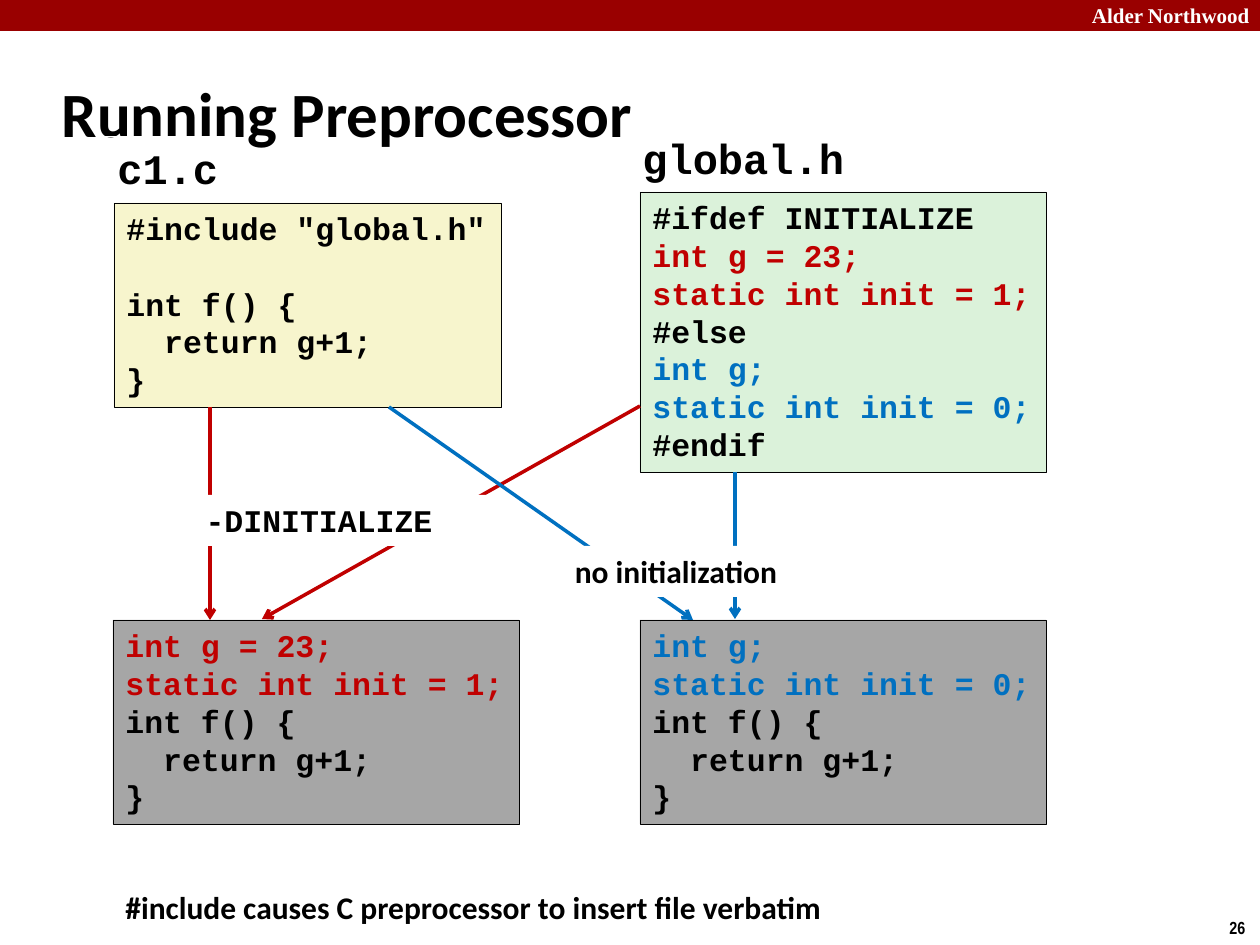
"""Build the slide showing how the C preprocessor expands an include file."""
from dataclasses import dataclass

from lxml.etree import SubElement
from pptx import Presentation
from pptx.dml.color import RGBColor
from pptx.enum.shapes import MSO_CONNECTOR, MSO_SHAPE
from pptx.enum.text import MSO_ANCHOR, MSO_AUTO_SIZE, PP_ALIGN
from pptx.oxml.ns import qn
from pptx.util import Emu, Pt

COLORS = {
    "black": "000000", "white": "FFFFFF", "banner": "990000",
    "red": "C00000", "blue": "0070C0",
    "source": "F7F5CD", "header": "DBF2DA", "result": "A6A6A6",
}
CODE_FONT = "Courier New"
BODY_FONT = "Calibri"
CODE_LINE = Pt(21.5)


@dataclass(frozen=True)
class Line:
    text: str
    color: str = "black"
    depth: int = 0
    skip: int = 0


@dataclass(frozen=True)
class Panel:
    left: int
    top: int
    width: int
    height: int
    lines: tuple[Line, ...]
    fill: str | None = None
    border: str | None = None
    font: str = CODE_FONT
    size: int = 18
    wrap: bool = False
    align: PP_ALIGN = PP_ALIGN.LEFT


@dataclass(frozen=True)
class Arrow:
    start: tuple[int, int]
    end: tuple[int, int]
    color: str


FUNCTION = (Line("int f() {"), Line("return g+1;", depth=1), Line("}"))
INITIALIZED = (Line("int g = 23;", "red"), Line("static int init = 1;", "red"))
UNINITIALIZED = (Line("int g;", "blue"), Line("static int init = 0;", "blue"))
C1_SOURCE = (
    Line('#include "global.h"'), Line("int f() {", skip=1), *FUNCTION[1:],
)
GLOBAL_HEADER = (
    Line("#ifdef INITIALIZE"), *INITIALIZED,
    Line("#else"), *UNINITIALIZED, Line("#endif"),
)

BANNER = (
    Panel(0, 0, 1260, 31, (), "banner"),
    Panel(1042, -4, 220, 38, (Line("Alder Northwood", "white"),),
          font="Times New Roman", size=12, wrap=True, align=PP_ALIGN.RIGHT),
    Panel(1217, 911, 43, 34, (Line("26"),), font="Arial Narrow", size=10),
)
FILES = (
    Panel(114, 203, 387, 204, C1_SOURCE, "source", "black"),
    Panel(105, 136, 127, 63, (Line("c1.c"),), border="white", size=24),
    Panel(630, 126, 228, 63, (Line("global.h"),), border="white", size=24),
    Panel(640, 192, 406, 280, GLOBAL_HEADER, "header", "black"),
    Panel(113, 620, 406, 204, INITIALIZED + FUNCTION, "result", "black"),
    Panel(640, 620, 406, 204, UNINITIALIZED + FUNCTION, "result", "black"),
)
FLOWS = (
    Arrow((210, 407), (210, 620), "red"),
    Arrow((640, 406), (262, 619), "red"),
    Arrow((389, 407), (693, 620), "blue"),
    Arrow((735, 472), (735, 619), "blue"),
)
CAPTIONS = (
    Panel(145, 495, 348, 51, (Line("-DINITIALIZE"),), "white",
          wrap=True, align=PP_ALIGN.CENTER),
    Panel(502, 546, 348, 51, (Line("no initialization"),), "white",
          font=BODY_FONT, wrap=True, align=PP_ALIGN.CENTER),
    Panel(113, 882, 727, 51,
          (Line("#include causes C preprocessor to insert file verbatim"),),
          font=BODY_FONT),
)


def px(length: int) -> Emu:
    return Emu(round(length * 914400 / 126))


def rgb(name: str) -> RGBColor:
    return RGBColor.from_string(COLORS[name])


def add_run(paragraph, text: str, font: str, size: int, color: str) -> None:
    run = paragraph.add_run()
    run.text = text
    run.font.name = font
    run.font.size = Pt(size)
    run.font.bold = True
    run.font.color.rgb = rgb(color)


def add_title(slide, text: str) -> None:
    title = slide.shapes.title
    title.left, title.top, title.width, title.height = map(px, (49, 60, 1046, 105))
    frame = title.text_frame
    frame.auto_size = MSO_AUTO_SIZE.NONE
    frame.vertical_anchor = MSO_ANCHOR.MIDDLE
    frame.paragraphs[0].alignment = PP_ALIGN.LEFT
    add_run(frame.paragraphs[0], text, BODY_FONT, 36, "black")


def write_lines(frame, panel: Panel) -> None:
    frame.word_wrap = panel.wrap
    frame.auto_size = MSO_AUTO_SIZE.SHAPE_TO_FIT_TEXT
    frame.vertical_anchor = MSO_ANCHOR.TOP
    for number, line in enumerate(panel.lines):
        paragraph = frame.add_paragraph() if number else frame.paragraphs[0]
        paragraph.alignment = panel.align
        if line.skip:
            paragraph.space_before = Emu(line.skip * CODE_LINE)
        if line.depth:
            properties = paragraph._p.get_or_add_pPr()
            properties.set("marL", str(line.depth * Pt(21.6)))
        add_run(paragraph, line.text, panel.font, panel.size, line.color)


def add_panel(slide, panel: Panel) -> None:
    bounds = map(px, (panel.left, panel.top, panel.width, panel.height))
    if panel.fill or panel.border:
        box = slide.shapes.add_shape(MSO_SHAPE.RECTANGLE, *bounds)
        box.shadow.inherit = False
    else:
        box = slide.shapes.add_textbox(*bounds)
    if panel.fill:
        box.fill.solid()
        box.fill.fore_color.rgb = rgb(panel.fill)
    else:
        box.fill.background()
    if panel.border:
        box.line.color.rgb = rgb(panel.border)
        box.line.width = Pt(0.25)
    else:
        box.line.fill.background()
    if panel.lines:
        write_lines(box.text_frame, panel)


def add_arrow(slide, arrow: Arrow) -> None:
    ends = map(px, (*arrow.start, *arrow.end))
    flow = slide.shapes.add_connector(MSO_CONNECTOR.STRAIGHT, *ends)
    flow.line.color.rgb = rgb(arrow.color)
    flow.line.width = Pt(2)
    SubElement(flow.line._get_or_add_ln(), qn("a:tailEnd"), type="arrow")
    SubElement(flow._element.spPr, qn("a:effectLst"))


def main() -> None:
    deck = Presentation()
    deck.slide_width, deck.slide_height = px(1260), px(945)
    slide = deck.slides.add_slide(deck.slide_layouts[5])
    add_title(slide, "Running Preprocessor")
    for panel in BANNER + FILES:
        add_panel(slide, panel)
    for arrow in FLOWS:
        add_arrow(slide, arrow)
    for caption in CAPTIONS:
        add_panel(slide, caption)
    deck.save("out.pptx")


if __name__ == "__main__":
    main()
